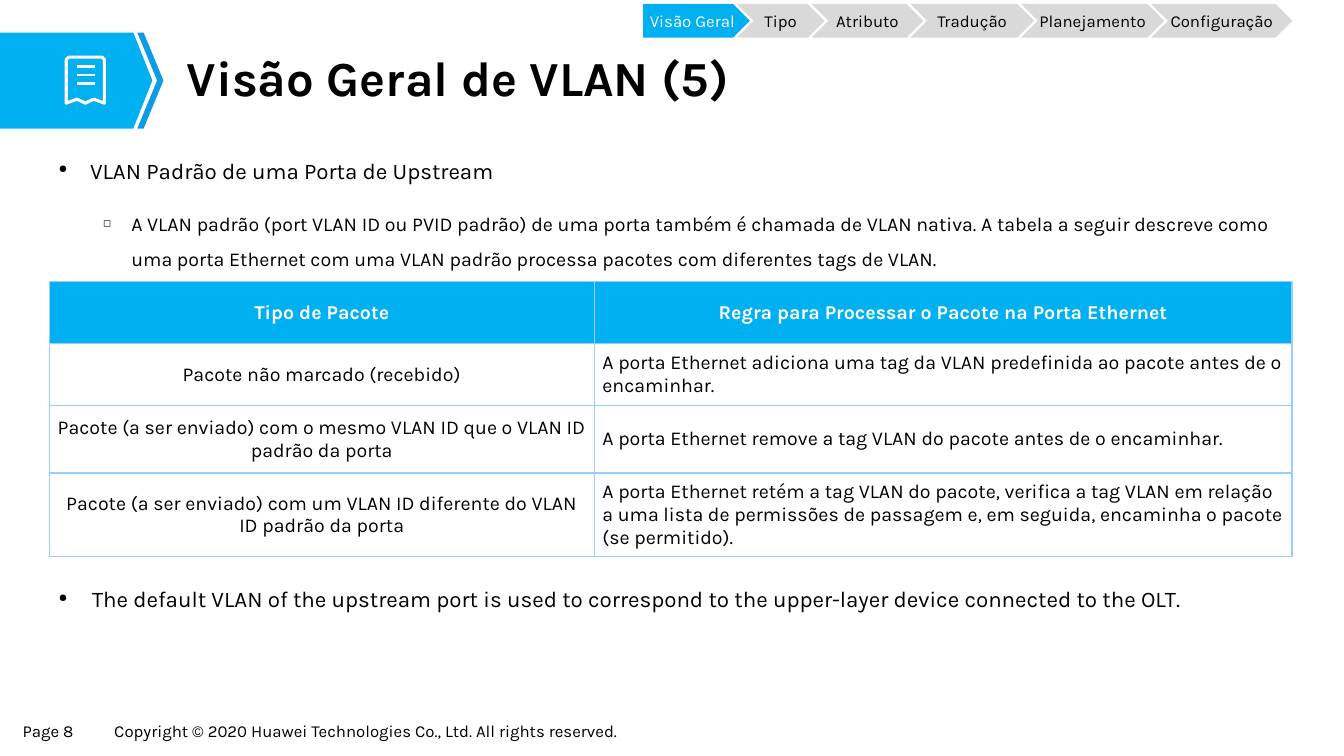
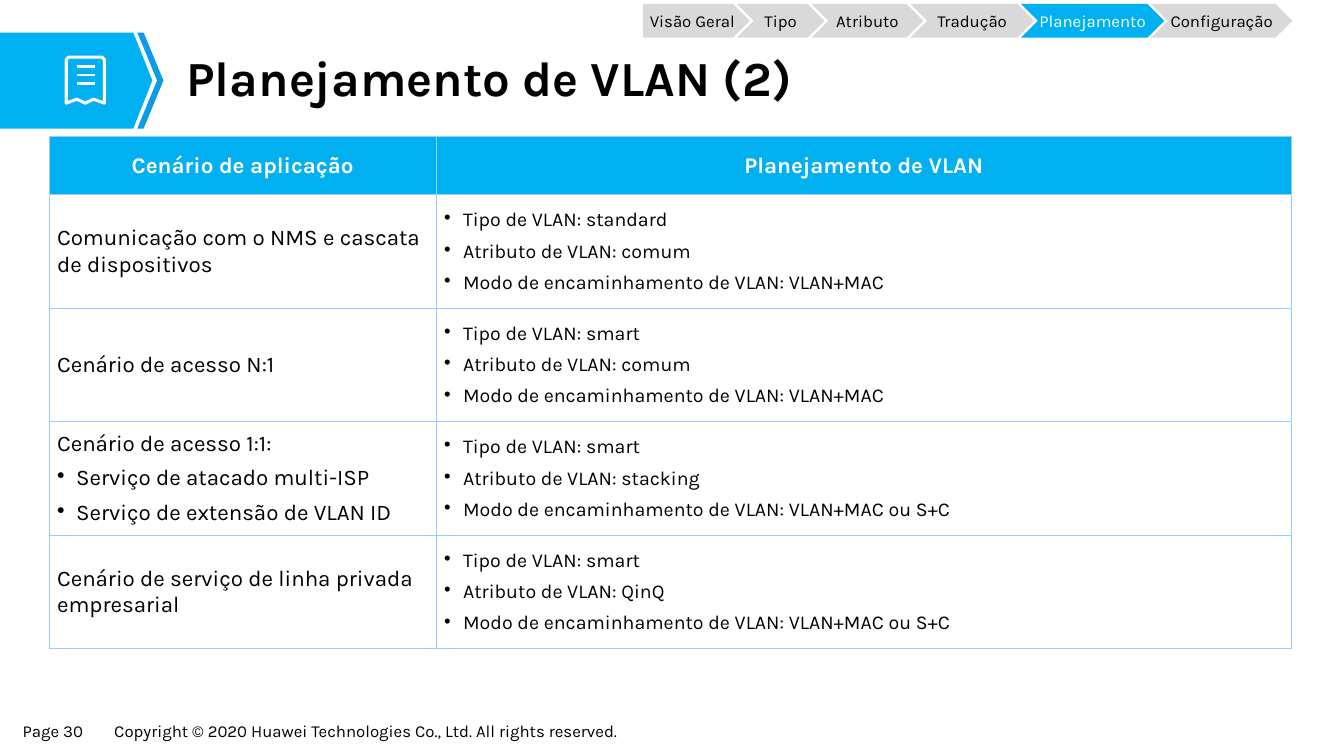
"""Builds two VLAN training slides with section tabs, headings and tables."""
from dataclasses import dataclass
from typing import Optional

from lxml.etree import SubElement
from pptx import Presentation
from pptx.dml.color import RGBColor
from pptx.enum.shapes import MSO_CONNECTOR, MSO_SHAPE
from pptx.enum.text import MSO_ANCHOR, MSO_AUTO_SIZE, PP_ALIGN
from pptx.oxml.ns import qn
from pptx.util import Cm, Pt


@dataclass(frozen=True)
class Theme:
    """Colours, font and type sizes shared by the slides."""
    font: str = "Karla"
    accent: str = "00B0F0"
    accent_dark: str = "0B9CE5"
    tab: str = "D9D9D9"
    border: str = "99CCFF"
    text: str = "000000"
    inverse: str = "FFFFFF"
    title_size: int = 35
    body_size: int = 16
    detail_size: int = 14
    small_size: int = 12


@dataclass(frozen=True)
class Bullet:
    """A bullet character with its indents in cm and its relative size."""
    character: str
    left: float
    hanging: float
    percent: int = 100


@dataclass(frozen=True)
class Column:
    """Width in cm and body text style of a table column."""
    width: float
    size: int
    align: PP_ALIGN = PP_ALIGN.LEFT
    bullets_from: Optional[int] = None


THEME = Theme()
MAIN_BULLET = Bullet("●", 0.79, 0.79, 50)
SUB_BULLET = Bullet("◻", 1.83, 0.71, 50)
CELL_BULLET = Bullet("•", 0.48, 0.48)
TABS = [("Visão Geral", 2.69), ("Tipo", 2.21), ("Atributo", 2.82),
        ("Tradução", 3.12), ("Planejamento", 3.61), ("Configuração", 3.56)]
TAB_LEFT, TAB_TOP, TAB_HEIGHT, TAB_OVERLAP = 16.21, 0.1, 0.85, 0.33
CONTENT_LEFT, CONTENT_WIDTH = 1.24, 31.4
COPYRIGHT = "Copyright © 2020 Huawei Technologies Co., Ltd. All rights reserved."


def rgb(value):
    """Turn a hex string into a colour."""
    return RGBColor.from_string(value)


def format_runs(paragraph, size, color=THEME.text, bold=False):
    """Apply the shared font to every run of a paragraph."""
    for run in paragraph.runs:
        run.font.name = THEME.font
        run.font.size = Pt(size)
        run.font.bold = bold
        run.font.color.rgb = rgb(color)


def set_bullet(paragraph, bullet):
    """Give a paragraph a bullet and a hanging indent."""
    properties = paragraph._p.get_or_add_pPr()
    properties.set("marL", str(Cm(bullet.left)))
    properties.set("indent", str(-Cm(bullet.hanging)))
    SubElement(properties, qn("a:buSzPct")).set("val", str(bullet.percent * 1000))
    SubElement(properties, qn("a:buChar")).set("char", bullet.character)


def set_margins(target, horizontal, vertical):
    """Set the inner margins of a text frame or table cell in cm."""
    target.margin_left = target.margin_right = Cm(horizontal)
    target.margin_top = target.margin_bottom = Cm(vertical)


def add_text(slide, left, top, width, height, text, wrap=True):
    """Add a text box and return its text frame."""
    frame = slide.shapes.add_textbox(Cm(left), Cm(top), Cm(width), Cm(height)).text_frame
    frame.word_wrap = wrap
    set_margins(frame, 0.24, 0.11)
    frame.text = text
    return frame


def add_bullets(slide, top, height, items):
    """Add a box of bulleted paragraphs given as text, bullet and size."""
    frame = add_text(slide, CONTENT_LEFT, top, CONTENT_WIDTH, height,
                     "\n".join(text for text, _, _ in items))
    for index, (paragraph, (_, bullet, size)) in enumerate(zip(frame.paragraphs, items)):
        paragraph.level = int(bullet is SUB_BULLET)
        paragraph.line_spacing = 1.5
        paragraph.space_before = Pt(12 if index else 0)
        set_bullet(paragraph, bullet)
        format_runs(paragraph, size)


def add_polygon(slide, points, fill=None, outline=None):
    """Add a closed outline through points in cm, filled or stroked."""
    corners = [(Cm(x), Cm(y)) for x, y in points]
    builder = slide.shapes.build_freeform(*corners[0])
    builder.add_line_segments(corners[1:], close=True)
    shape = builder.convert_to_shape()
    shape.shadow.inherit = False
    if fill:
        shape.fill.solid()
        shape.fill.fore_color.rgb = rgb(fill)
    else:
        shape.fill.background()
    if outline:
        shape.line.color.rgb = rgb(outline)
        shape.line.width = Pt(2.2)
    else:
        shape.line.fill.background()


def add_rule(slide, left, right, y):
    """Add a horizontal white line."""
    rule = slide.shapes.add_connector(MSO_CONNECTOR.STRAIGHT, Cm(left), Cm(y), Cm(right), Cm(y))
    rule.line.color.rgb = rgb(THEME.inverse)
    rule.line.width = Pt(1.7)
    SubElement(rule._element.spPr, qn("a:effectLst"))


def add_banner(slide):
    """Draw the arrow banner with its document icon."""
    top, middle, bottom = 0.82, 2.03, 3.24
    add_polygon(slide, [(0, top), (3.36, top), (3.84, middle), (3.36, bottom), (0, bottom)],
                fill=THEME.accent)
    add_polygon(slide, [(3.46, top), (3.62, top), (4.12, middle), (3.62, bottom),
                        (3.46, bottom), (3.96, middle)], fill=THEME.accent_dark)
    add_polygon(slide, [(1.73, 1.44), (2.57, 1.44), (2.63, 1.5), (2.63, 2.6), (2.36, 2.5),
                        (2.15, 2.6), (1.94, 2.5), (1.67, 2.6), (1.67, 1.5)],
                outline=THEME.inverse)
    for row in range(3):
        add_rule(slide, 1.93, 2.39, 1.68 + 0.21 * row)


def add_tabs(slide, active):
    """Add the row of section tabs with the active one highlighted."""
    left = TAB_LEFT
    for index, (name, width) in enumerate(TABS):
        kind = MSO_SHAPE.CHEVRON if index else MSO_SHAPE.PENTAGON
        tab = slide.shapes.add_shape(kind, Cm(left), Cm(TAB_TOP), Cm(width), Cm(TAB_HEIGHT))
        tab.shadow.inherit = False
        tab.fill.solid()
        tab.fill.fore_color.rgb = rgb(THEME.accent if name == active else THEME.tab)
        tab.line.fill.background()
        frame = tab.text_frame
        set_margins(frame, 0, 0)
        frame.word_wrap = False
        frame.vertical_anchor = MSO_ANCHOR.MIDDLE
        frame.text = name
        frame.paragraphs[0].alignment = PP_ALIGN.CENTER
        format_runs(frame.paragraphs[0], THEME.small_size,
                    THEME.inverse if name == active else THEME.text)
        left += width - TAB_OVERLAP


def set_title(slide, text):
    """Place and format the title placeholder."""
    title = slide.shapes.title
    title.left, title.top, title.width, title.height = Cm(4.42), Cm(1.14), Cm(27.3), Cm(1.78)
    frame = title.text_frame
    set_margins(frame, 0.28, 0.15)
    frame.auto_size = MSO_AUTO_SIZE.NONE
    frame.vertical_anchor = MSO_ANCHOR.MIDDLE
    frame.text = text
    paragraph = frame.paragraphs[0]
    paragraph.alignment = PP_ALIGN.LEFT
    paragraph.line_spacing = 0.9
    format_runs(paragraph, THEME.title_size, bold=True)


def add_footer(slide, page):
    """Add the page number and the copyright line."""
    for left, width, text in [(0.33, 2.06, f"Page {page}"), (2.64, 13.74, COPYRIGHT)]:
        frame = add_text(slide, left, 18.06, width, 0.74, text, wrap=False)
        format_runs(frame.paragraphs[0], THEME.small_size)


def add_page(presentation, title, active, page):
    """Add a slide with everything that the slides share."""
    slide = presentation.slides.add_slide(presentation.slide_layouts[5])
    add_banner(slide)
    set_title(slide, title)
    add_tabs(slide, active)
    add_footer(slide, page)
    return slide


def set_borders(cell):
    """Draw a thin line on all four sides of a cell."""
    properties = cell._tc.get_or_add_tcPr()
    for side in ("a:lnL", "a:lnR", "a:lnT", "a:lnB"):
        line = SubElement(properties, qn(side), w=str(Pt(1)))
        fill = SubElement(line, qn("a:solidFill"))
        SubElement(fill, qn("a:srgbClr"), val=THEME.border)


def format_cell(cell, text, column, header_size=None):
    """Fill a table cell; a header size makes it a header cell."""
    set_borders(cell)
    cell.vertical_anchor = MSO_ANCHOR.MIDDLE
    set_margins(cell, 0.2, 0)
    cell.text_frame.text = text
    if header_size:
        cell.fill.solid()
        cell.fill.fore_color.rgb = rgb(THEME.accent)
    else:
        cell.fill.background()
    for index, paragraph in enumerate(cell.text_frame.paragraphs):
        paragraph.space_before = Pt(6 if index else 0)
        if header_size:
            paragraph.alignment = PP_ALIGN.CENTER
            format_runs(paragraph, header_size, THEME.inverse, bold=True)
            continue
        paragraph.alignment = column.align
        if column.bullets_from is not None and index >= column.bullets_from:
            set_bullet(paragraph, CELL_BULLET)
        format_runs(paragraph, column.size)


def add_grid(slide, top, columns, heights, header_size, rows):
    """Add a table whose first row is the header."""
    table = slide.shapes.add_table(
        len(rows), len(columns), Cm(CONTENT_LEFT), Cm(top),
        Cm(sum(column.width for column in columns)), Cm(sum(heights))).table
    table.horz_banding = False
    for index, column in enumerate(columns):
        table.columns[index].width = Cm(column.width)
    for row_index, (height, row) in enumerate(zip(heights, rows)):
        table.rows[row_index].height = Cm(height)
        for column_index, text in enumerate(row):
            format_cell(table.cell(row_index, column_index), text, columns[column_index],
                        None if row_index else header_size)


def vlan_plan(kind, attribute, forwarding):
    """Compose the three planning lines of a scenario."""
    return (f"Tipo de VLAN: {kind}\nAtributo de VLAN: {attribute}\n"
            f"Modo de encaminhamento de VLAN: {forwarding}")


def add_overview(presentation):
    """Build the slide on the default VLAN of an upstream port."""
    slide = add_page(presentation, "Visão Geral de VLAN (5)", "Visão Geral", 8)
    add_bullets(slide, 3.5, 3.5, [
        ("VLAN Padrão de uma Porta de Upstream", MAIN_BULLET, THEME.body_size),
        ("A VLAN padrão (port VLAN ID ou PVID padrão) de uma porta também é chamada de VLAN "
         "nativa. A tabela a seguir descreve como uma porta Ethernet com uma VLAN padrão "
         "processa pacotes com diferentes tags de VLAN.", SUB_BULLET, THEME.detail_size)])
    columns = [Column(13.74, THEME.detail_size, PP_ALIGN.CENTER), Column(17.58, THEME.detail_size)]
    add_grid(slide, 7.09, columns, [1.57, 1.56, 1.7, 2.11], THEME.detail_size, [
        ("Tipo de Pacote", "Regra para Processar o Pacote na Porta Ethernet"),
        ("Pacote não marcado (recebido)",
         "A porta Ethernet adiciona uma tag da VLAN predefinida ao pacote antes de o encaminhar."),
        ("Pacote (a ser enviado) com o mesmo VLAN ID que o VLAN ID padrão da porta",
         "A porta Ethernet remove a tag VLAN do pacote antes de o encaminhar."),
        ("Pacote (a ser enviado) com um VLAN ID diferente do VLAN ID padrão da porta",
         "A porta Ethernet retém a tag VLAN do pacote, verifica a tag VLAN em relação a uma lista "
         "de permissões de passagem e, em seguida, encaminha o pacote (se permitido).")])
    add_bullets(slide, 14.3, 1.3, [
        ("The default VLAN of the upstream port is used to correspond to the upper-layer device "
         "connected to the OLT.", Bullet("●", 0.84, 0.84, 50), THEME.body_size)])


def add_planning(presentation):
    """Build the slide on VLAN planning by scenario."""
    slide = add_page(presentation, "Planejamento de VLAN (2)", "Planejamento", 30)
    columns = [Column(9.75, THEME.body_size, bullets_from=1),
               Column(21.56, THEME.detail_size, bullets_from=0)]
    add_grid(slide, 3.44, columns, [1.47] + [2.86] * 4, THEME.body_size, [
        ("Cenário de aplicação", "Planejamento de VLAN"),
        ("Comunicação com o NMS e cascata de dispositivos",
         vlan_plan("standard", "comum", "VLAN+MAC")),
        ("Cenário de acesso N:1", vlan_plan("smart", "comum", "VLAN+MAC")),
        ("Cenário de acesso 1:1:\nServiço de atacado multi-ISP\nServiço de extensão de VLAN ID",
         vlan_plan("smart", "stacking", "VLAN+MAC ou S+C")),
        ("Cenário de serviço de linha privada empresarial",
         vlan_plan("smart", "QinQ", "VLAN+MAC ou S+C"))])


def main():
    """Build and save the presentation."""
    presentation = Presentation()
    presentation.slide_width, presentation.slide_height = Cm(33.87), Cm(19.05)
    add_overview(presentation)
    add_planning(presentation)
    presentation.save("out.pptx")


if __name__ == "__main__":
    main()
